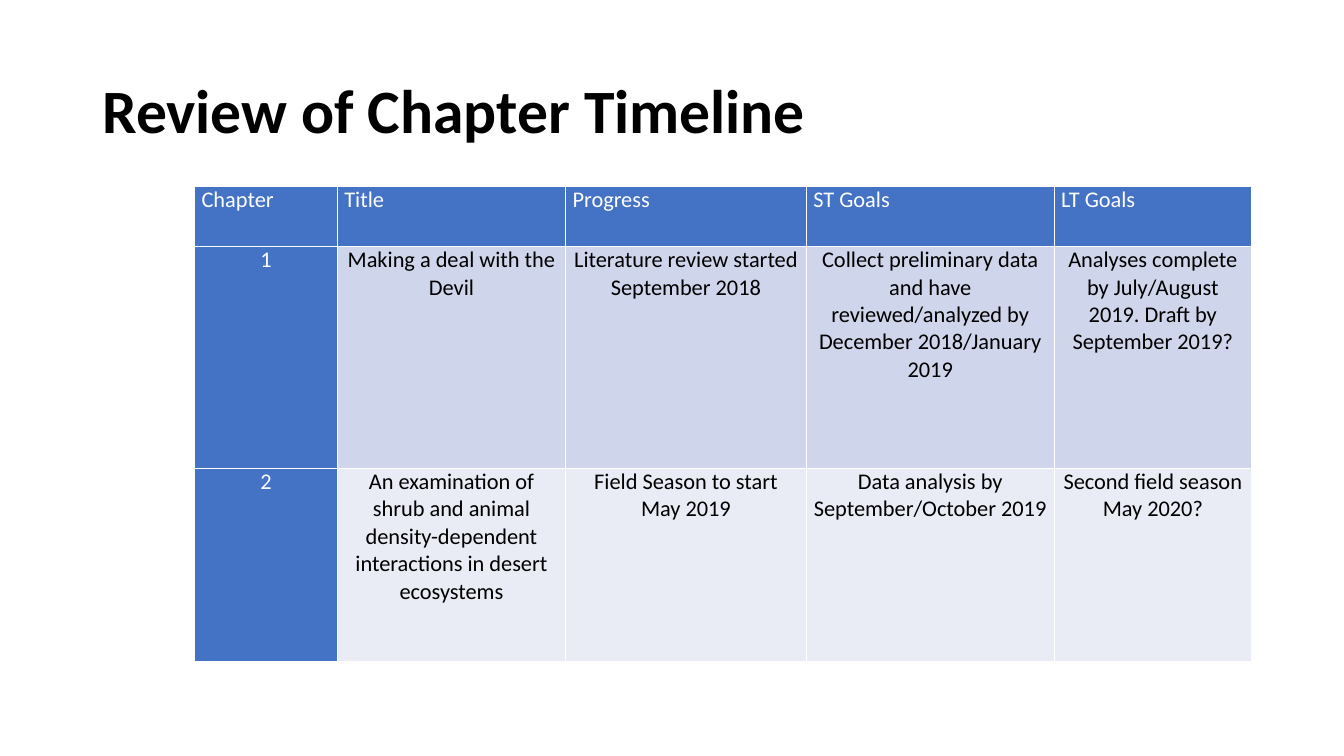
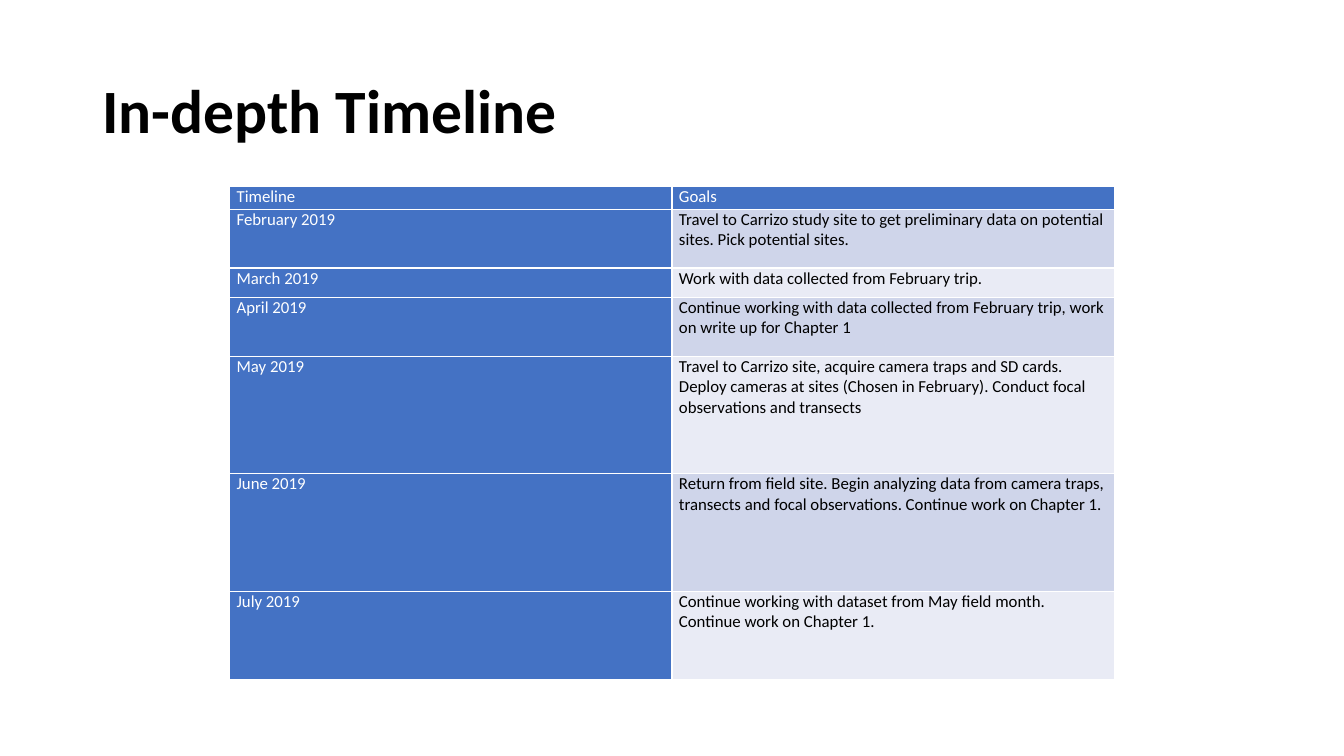
from pptx import Presentation
from pptx.dml.color import RGBColor
from pptx.enum import text
from pptx.util import Pt

FONT = "Calibri"
BLACK = RGBColor(0x00, 0x00, 0x00)
WHITE = RGBColor(0xFF, 0xFF, 0xFF)
BLUE = RGBColor(0x44, 0x72, 0xC4)
BANDS = [RGBColor(0xCF, 0xD5, 0xEA), RGBColor(0xE9, 0xEB, 0xF5)]
TABLE_TOP = 133

LEFT = text.PP_ALIGN.LEFT
CENTER = text.PP_ALIGN.CENTER

deck = Presentation()
deck.slide_width = Pt(960)
deck.slide_height = Pt(540)


def add_text(para, words, size, color, bold=False):
    span = para.add_run()
    span.text = words
    span.font.name = FONT
    span.font.size = Pt(size)
    span.font.bold = bold
    span.font.color.rgb = color


chapters = {
    "title": "Review of Chapter Timeline",
    "left": 139,
    "widths": [102, 163, 172, 177, 141],
    "heights": [43, 158.5, 138],
    "size": 16,
    "body_align": CENTER,
    "rows": [
        ["Chapter", "Title", "Progress", "ST Goals", "LT Goals"],
        ["1", "Making a deal with the Devil",
         "Literature review started September 2018",
         "Collect preliminary data and have reviewed/analyzed by "
         "December 2018/January 2019",
         "Analyses complete by July/August 2019. Draft by September 2019?"],
        ["2", "An examination of shrub and animal density-dependent "
         "interactions in desert ecosystems",
         "Field Season to start May 2019",
         "Data analysis by September/October 2019",
         "Second field season May 2020?"],
    ],
}

months = {
    "title": "In-depth Timeline",
    "left": 164,
    "widths": [316, 316],
    "heights": [16.5, 42, 21, 42, 84, 84, 63],
    "size": 12,
    "body_align": LEFT,
    "rows": [
        ["Timeline", "Goals"],
        ["February 2019",
         "Travel to Carrizo study site to get preliminary data on potential "
         "sites. Pick potential sites."],
        ["March 2019", "Work with data collected from February trip."],
        ["April 2019",
         "Continue working with data collected from February trip, work on "
         "write up for Chapter 1"],
        ["May 2019",
         "Travel to Carrizo site, acquire camera traps and SD cards. Deploy "
         "cameras at sites (Chosen in February). Conduct focal observations "
         "and transects"],
        ["June 2019",
         "Return from field site. Begin analyzing data from camera traps, "
         "transects and focal observations. Continue work on Chapter 1."],
        ["July 2019",
         "Continue working with dataset from May field month. Continue work "
         "on Chapter 1."],
    ],
}

for timeline in (chapters, months):
    page = deck.slides.add_slide(deck.slide_layouts[6])

    box = page.shapes.add_textbox(Pt(66), Pt(28.8), Pt(828), Pt(104.4))
    box.text_frame.word_wrap = True
    box.text_frame.vertical_anchor = text.MSO_ANCHOR.MIDDLE
    heading = box.text_frame.paragraphs[0]
    heading.line_spacing = 0.9
    add_text(heading, timeline["title"], 44, BLACK, bold=True)

    widths, heights = timeline["widths"], timeline["heights"]
    table = page.shapes.add_table(
        len(heights), len(widths), Pt(timeline["left"]), Pt(TABLE_TOP),
        Pt(sum(widths)), Pt(sum(heights))).table
    table.first_col = True
    for column, width in zip(table.columns, widths):
        column.width = Pt(width)
    for row, height in zip(table.rows, heights):
        row.height = Pt(height)

    for row_index, row in enumerate(timeline["rows"]):
        for column_index, words in enumerate(row):
            is_header = row_index == 0 or column_index == 0
            cell = table.cell(row_index, column_index)
            cell.margin_left = cell.margin_right = Pt(5)
            cell.margin_top = cell.margin_bottom = Pt(0)
            cell.fill.solid()
            cell.fill.fore_color.rgb = BLUE if is_header else BANDS[(row_index - 1) % 2]
            para = cell.text_frame.paragraphs[0]
            para.alignment = timeline["body_align"] if row_index else LEFT
            add_text(para, words, timeline["size"], WHITE if is_header else BLACK)

deck.save("out.pptx")
